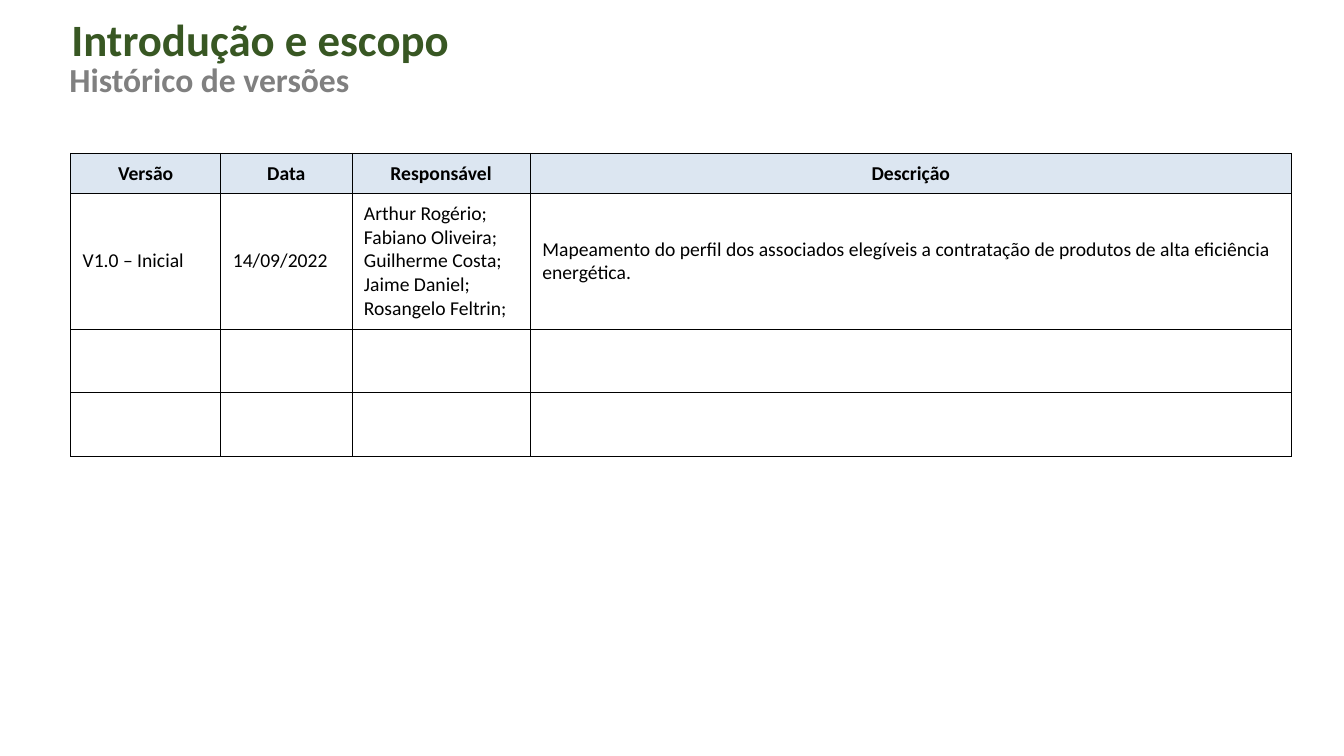
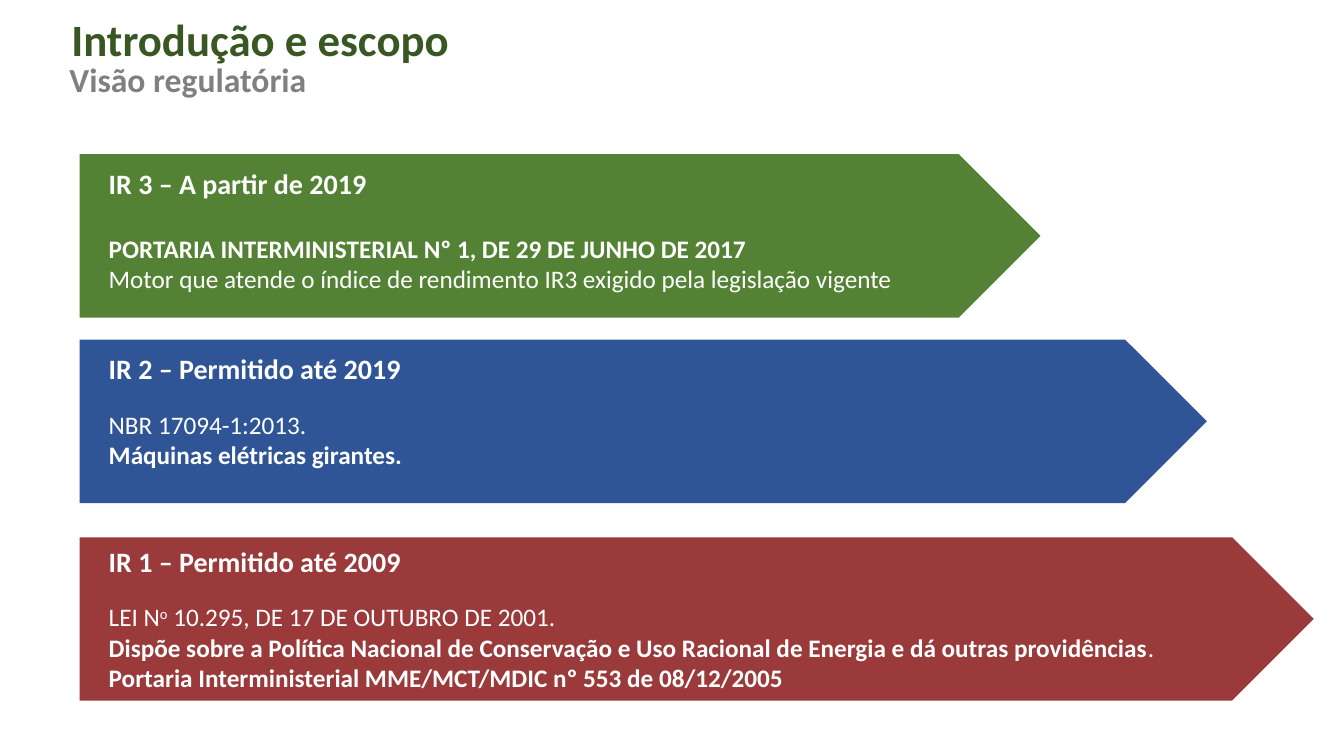
import pptx
import pptx.util
import pptx.dml.color
import pptx.enum.shapes
import pptx.enum.text
import pptx.oxml.ns
import lxml.etree

Inches = pptx.util.Inches
Pt = pptx.util.Pt
FONT = "Calibri"
COLORS = {
    "title": "385723",
    "sub": "808080",
    "head": "DCE6F1",
    "black": "000000",
    "white": "FFFFFF",
    "green": "548235",
    "blue": "2F5597",
    "red": "9A3A3A",
}

COLS = [1.49, 1.3, 1.77, 7.55]
ROWS = [0.4, 1.31, 0.63, 0.63]
CELLS = [
    [["Versão"], ["Data"], ["Responsável"], ["Descrição"]],
    [
        ["V1.0 – Inicial"],
        ["14/09/2022"],
        ["Arthur Rogério;", "Fabiano Oliveira;", "Guilherme Costa;",
         "Jaime Daniel;", "Rosangelo Feltrin;"],
        ["Mapeamento do perfil dos associados elegíveis a contratação de "
         "produtos de alta eficiência energética."],
    ],
]

BANDS = [
    ("green", 1.53, 9.53, 0.07, 24, "IR 3 – A partir de 2019", [
        [("PORTARIA INTERMINISTERIAL Nº 1, DE 29 DE JUNHO DE 2017", True)],
        [("Motor que atende o índice de rendimento IR3 exigido pela "
          "legislação vigente", False)],
    ]),
    ("blue", 3.37, 11.18, 0.07, 17, "IR 2 – Permitido até 2019", [
        [("NBR 17094-1:2013.", False)],
        [("Máquinas elétricas girantes.", True)],
    ]),
    ("red", 5.33, 12.24, 0.02, 17, "IR 1 – Permitido até 2009", [
        [("LEI N", False), ("o", False, 30000),
         (" 10.295, DE 17 DE OUTUBRO DE 2001.", False)],
        [("Dispõe sobre a Política Nacional de Conservação e Uso Racional "
          "de Energia e dá outras providências", True), (".", False)],
        [("Portaria Interministerial MME/MCT/MDIC nº 553 de 08/12/2005", True)],
    ]),
]


def rgb(name):
    return pptx.dml.color.RGBColor.from_string(COLORS[name])


def add_run(para, text, size, color, bold=False, raised=0):
    run = para.add_run()
    run.text = text
    run.font.name = FONT
    run.font.size = Pt(size)
    run.font.bold = bold
    run.font.color.rgb = rgb(color)
    if raised:
        run._r.get_or_add_rPr().set("baseline", str(raised))


def add_para(frame, first):
    return frame.paragraphs[0] if first else frame.add_paragraph()


def add_box(slide, left, top, width, height, wrap):
    box = slide.shapes.add_textbox(
        Inches(left), Inches(top), Inches(width), Inches(height))
    box.text_frame.word_wrap = wrap
    return box.text_frame


def add_head(slide, sub, width):
    frame = add_box(slide, 0.61, 0.07, 3.98, 0.64, False)
    add_run(frame.paragraphs[0], "Introdução e escopo", 32, "title", True)
    frame = add_box(slide, 0.59, 0.54, width, 0.5, False)
    add_run(frame.paragraphs[0], sub, 24, "sub", True)


def add_edges(cell):
    props = cell._tc.get_or_add_tcPr()
    qn = pptx.oxml.ns.qn
    for side in ("lnL", "lnR", "lnT", "lnB"):
        line = lxml.etree.SubElement(props, qn("a:" + side), w=str(Pt(0.5)))
        fill = lxml.etree.SubElement(line, qn("a:solidFill"))
        lxml.etree.SubElement(fill, qn("a:srgbClr"), val=COLORS["black"])


def fill_cell(cell, lines, head):
    add_edges(cell)
    cell.margin_left = cell.margin_right = Inches(0.12)
    cell.margin_top = cell.margin_bottom = Inches(0.08)
    cell.vertical_anchor = pptx.enum.text.MSO_ANCHOR.MIDDLE
    if head:
        cell.fill.solid()
        cell.fill.fore_color.rgb = rgb("head")
    else:
        cell.fill.background()
    for i, text in enumerate(lines):
        para = add_para(cell.text_frame, i == 0)
        if head:
            para.alignment = pptx.enum.text.PP_ALIGN.CENTER
        add_run(para, text, 14, "black", head)


def add_grid(slide, left, top):
    table = slide.shapes.add_table(
        len(ROWS), len(COLS), Inches(left), Inches(top),
        Inches(sum(COLS)), Inches(sum(ROWS))).table
    table.first_row = table.horz_banding = False
    for col, width in zip(table.columns, COLS):
        col.width = Inches(width)
    for r, height in enumerate(ROWS):
        table.rows[r].height = Inches(height)
        for c in range(len(COLS)):
            lines = CELLS[r][c] if r < len(CELLS) else []
            fill_cell(table.cell(r, c), lines, r == 0)


def add_band(slide, left, color, top, width, drop, gap, title, body):
    height = 1.62
    arrow = slide.shapes.add_shape(
        pptx.enum.shapes.MSO_SHAPE.PENTAGON,
        Inches(left), Inches(top), Inches(width), Inches(height))
    arrow.shadow.inherit = False
    arrow.fill.solid()
    arrow.fill.fore_color.rgb = rgb(color)
    arrow.line.fill.background()
    frame = add_box(slide, left + 0.19, top + drop, width - 0.36, height, True)
    add_run(frame.paragraphs[0], title, 20, "white", True)
    for i, runs in enumerate(body):
        para = frame.add_paragraph()
        if i == 0:
            para.space_before = Pt(gap)
        for text, bold, *raised in runs:
            add_run(para, text, 18, "white", bold, *raised)


def main():
    deck = pptx.Presentation()
    deck.slide_width = Inches(13.33)
    deck.slide_height = Inches(7.5)
    blank = deck.slide_layouts[6]

    slide = deck.slides.add_slide(blank)
    add_grid(slide, 0.7, 1.52)
    add_head(slide, "Histórico de versões", 3.01)

    slide = deck.slides.add_slide(blank)
    add_head(slide, "Visão regulatória", 2.58)
    for band in BANDS:
        add_band(slide, 0.79, *band)

    deck.save("out.pptx")


if __name__ == "__main__":
    main()
